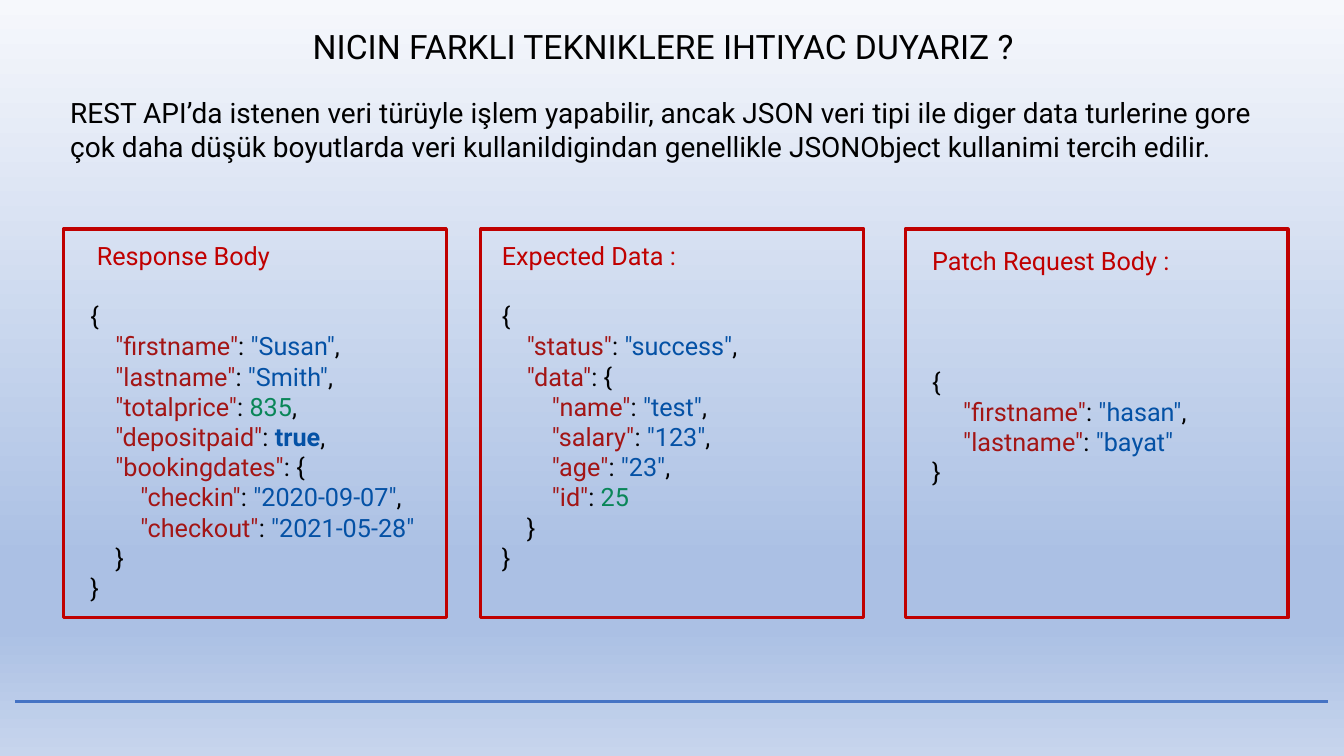
from lxml.etree import SubElement
from pptx import Presentation
from pptx.dml.color import RGBColor
from pptx.enum.shapes import MSO_CONNECTOR as Connector, MSO_SHAPE as Shape
from pptx.enum.text import MSO_AUTO_SIZE as AutoSize, PP_ALIGN as Align
from pptx.oxml.ns import qn
from pptx.util import Cm, Pt

COLORS = {
    "text": "000000", "frame": "C00000", "rule": "4472C4",
    "key": "A31515", "value": "0451A5", "number": "098658",
}
# Position (%), colour, opacity (%)
BACKGROUND = [(0, "F6F8FC", 93), (74, "ABC0E4", 100),
              (83, "ABC0E4", 100), (100, "C7D5ED", 100)]
LINE_HEIGHT = 21.6  # one 18 pt line, in points

RESPONSE = """{
    "firstname": "Susan",
    "lastname": "Smith",
    "totalprice": 835,
    "depositpaid": true,
    "bookingdates": {
        "checkin": "2020-09-07",
        "checkout": "2021-05-28"
    }
}"""
EXPECTED = """{
    "status": "success",
    "data": {
        "name": "test",
        "salary": "123",
        "age": "23",
        "id": 25
    }
}"""
PATCH = """{
     "firstname": "hasan",
     "lastname": "bayat"
}"""


def json_tokens(line):
    """Split one line of JSON into (text, colour name) pairs."""
    key, colon, value = line.partition(": ")
    if not colon:
        return [(line, "text")]
    bare = value.rstrip(",")
    color = "text" if bare == "{" else "number" if bare.isdigit() else "value"
    tokens = [(key, "key"), (colon, "text"), (bare, color)]
    return tokens + [(",", "text")] if value.endswith(",") else tokens


class SlideBuilder:
    font_name = "Roboto"
    line_width = Pt(2.25)

    def __init__(self, slide):
        self.slide = slide

    def color(self, name):
        return RGBColor.from_string(COLORS[name])

    def background(self, stops):
        fill = self.slide.background.fill
        fill.gradient()
        fill.gradient_angle = 270
        stop_list = next(self.slide.element.iter(qn("a:gsLst")))
        for stop in list(stop_list):
            stop_list.remove(stop)
        for position, color, opacity in stops:
            stop = SubElement(stop_list, qn("a:gs"), pos=str(position * 1000))
            rgb = SubElement(stop, qn("a:srgbClr"), val=color)
            if opacity < 100:
                SubElement(rgb, qn("a:alpha"), val=str(opacity * 1000))

    def style(self, run, size, color, bold=False):
        font = run.font
        font.name, font.size, font.bold = self.font_name, Pt(size), bold
        font.color.rgb = self.color(color)

    def text(self, left, top, width, height, text, size, color="text", align=Align.LEFT):
        box = self.slide.shapes.add_textbox(Cm(left), Cm(top), Cm(width), Cm(height))
        text_frame = box.text_frame
        text_frame.word_wrap = True
        text_frame.auto_size = AutoSize.SHAPE_TO_FIT_TEXT
        text_frame.text = text
        paragraph = text_frame.paragraphs[0]
        paragraph.alignment = align
        self.style(paragraph.runs[0], size, color)
        return text_frame

    def code(self, left, top, width, height, heading, code, blank_lines=1, indent=0):
        text_frame = self.text(left, top, width, height, heading, 18, "frame")
        properties = text_frame.paragraphs[0]._p.get_or_add_pPr()
        properties.set("marL", str(Cm(indent)))
        for number, line in enumerate(code.splitlines()):
            paragraph = text_frame.add_paragraph()
            if number == 0:
                paragraph.space_before = Pt(LINE_HEIGHT * blank_lines)
            for token, color in json_tokens(line):
                run = paragraph.add_run()
                run.text = token
                self.style(run, 18, color, bold=token == "true")

    def frame(self, left, top, width, height):
        shape = self.slide.shapes.add_shape(
            Shape.RECTANGLE, Cm(left), Cm(top), Cm(width), Cm(height))
        shape.shadow.inherit = False
        shape.fill.background()
        shape.line.color.rgb = self.color("frame")
        shape.line.width = self.line_width

    def rule(self, left, right, y):
        line = self.slide.shapes.add_connector(
            Connector.STRAIGHT, Cm(left), Cm(y), Cm(right), Cm(y))
        line.line.color.rgb = self.color("rule")
        line.line.width = self.line_width
        SubElement(line._element.spPr, qn("a:effectLst"))


def main():
    presentation = Presentation()
    presentation.slide_width, presentation.slide_height = Cm(33.87), Cm(19.05)
    slide = presentation.slides.add_slide(presentation.slide_layouts[6])
    builder = SlideBuilder(slide)
    builder.background(BACKGROUND)

    # Title and introduction
    builder.text(7.14, 0.53, 19.15, 1.27, "NICIN FARKLI TEKNIKLERE IHTIYAC DUYARIZ ?",
                 24, align=Align.CENTER)
    builder.text(1.52, 2.29, 30.81, 2.82,
                 "REST API’da istenen veri türüyle işlem yapabilir, ancak JSON veri tipi "
                 "ile diger data turlerine gore çok daha düşük boyutlarda veri "
                 "kullanildigindan genellikle JSONObject kullanimi tercih edilir.", 20)

    # Framed JSON samples
    for left in (1.6, 12.12, 22.81):
        builder.frame(left, 5.77, 9.65, 9.8)
    builder.code(2.03, 5.92, 9.65, 9.5, "Response Body", RESPONSE, indent=0.16)
    builder.code(12.4, 5.92, 9.07, 8.71, "Expected Data :", EXPECTED)
    builder.code(23.24, 6.05, 7.65, 6.4, "Patch Request Body :", PATCH, blank_lines=3)

    # Bottom rule
    builder.rule(0.38, 33.48, 17.68)

    presentation.save("out.pptx")


if __name__ == "__main__":
    main()
